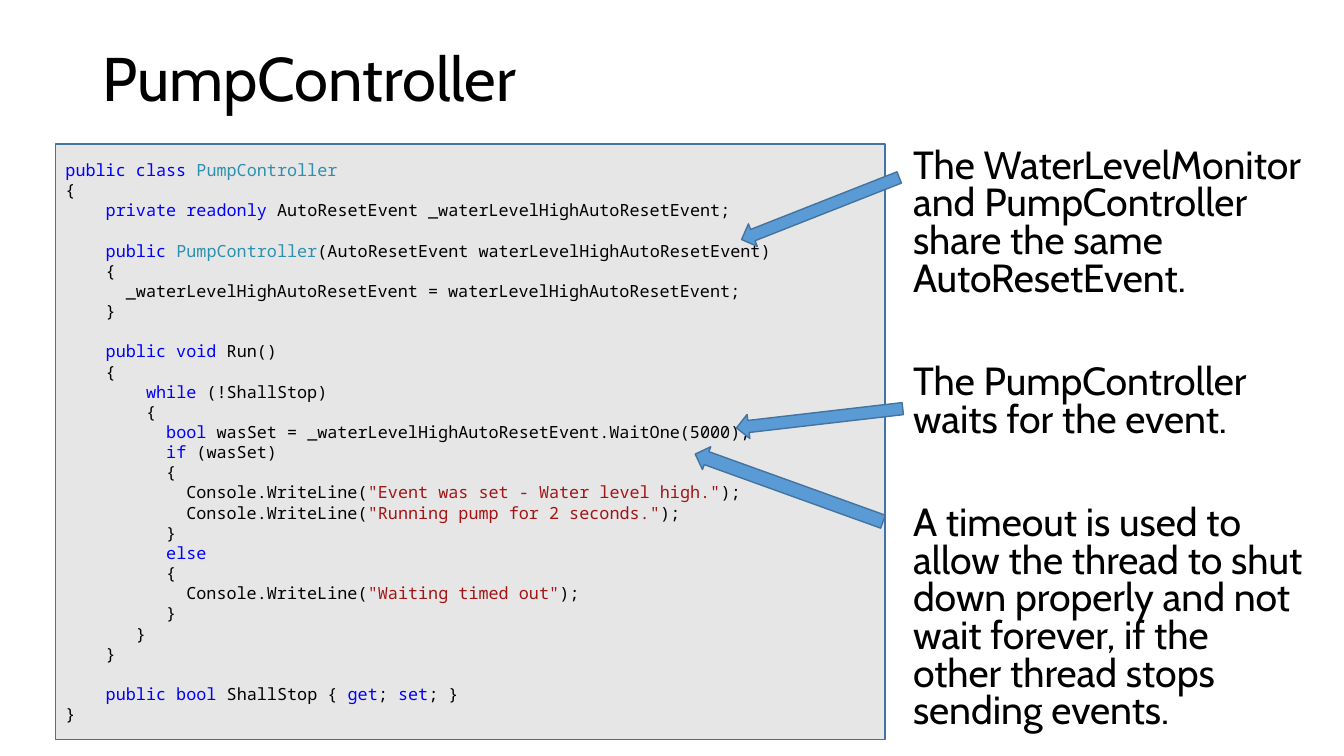
from pptx import Presentation
from pptx.dml.color import RGBColor
from pptx.enum.shapes import MSO_SHAPE
from pptx.enum.text import MSO_ANCHOR, PP_ALIGN
from pptx.util import Cm, Pt

RECTANGLE, DOWN_ARROW = MSO_SHAPE.RECTANGLE, MSO_SHAPE.DOWN_ARROW
MIDDLE, LEFT = MSO_ANCHOR.MIDDLE, PP_ALIGN.LEFT

TEXT_FONT, CODE_FONT = "Cabin", "Noto Sans Mono"
BLACK, GREY, BLUE, OUTLINE = "000000", "E7E6E6", "5B9BD5", "43739E"
KEYWORD, TYPE, STRING = "0000FF", "2B91AF", "A31515"

NOTES = [
    "The WaterLevelMonitor and PumpController share the same AutoResetEvent.",
    "The PumpController waits for the event.",
    "A timeout is used to allow the thread to shut down properly and not wait "
    "forever, if the other thread stops sending events.",
]

# Each code line is a list of spans: plain text, or text with its colour
CODE = [
    [("public class ", KEYWORD), ("PumpController", TYPE)],
    ["{"],
    ["    ", ("private readonly ", KEYWORD),
     "AutoResetEvent _waterLevelHighAutoResetEvent;"],
    [],
    ["    ", ("public ", KEYWORD), ("PumpController", TYPE),
     "(AutoResetEvent waterLevelHighAutoResetEvent)"],
    ["    {"],
    ["      _waterLevelHighAutoResetEvent = waterLevelHighAutoResetEvent;"],
    ["    }"],
    [],
    ["    ", ("public void", KEYWORD), " Run()"],
    ["    {"],
    ["        ", ("while", KEYWORD), " (!ShallStop)"],
    ["        {"],
    ["          ", ("bool ", KEYWORD),
     "wasSet = _waterLevelHighAutoResetEvent.WaitOne(5000);"],
    ["          ", ("if", KEYWORD), " (wasSet)"],
    ["          {"],
    ["            Console.WriteLine(",
     ('"Event was set - Water level high."', STRING), ");"],
    ["            Console.WriteLine(",
     ('"Running pump for 2 seconds."', STRING), ");"],
    ["          }"],
    ["          ", ("else", KEYWORD)],
    ["          {"],
    ["            Console.WriteLine(", ('"Waiting timed out"', STRING), ");"],
    ["          }"],
    ["       }"],
    ["    }"],
    [],
    ["    ", ("public bool ", KEYWORD), "ShallStop { ", ("get", KEYWORD), "; ",
     ("set", KEYWORD), "; }"],
    ["}"],
]

# Left, top, width, height in cm, then rotation and shaft width
ARROWS = [
    (19.58, 9.78, 0.61, 5.03, 109.8, 0.57),
    (20.35, 8.43, 0.61, 4.22, 83.4, 0.5),
    (20.37, 3.12, 0.61, 4.27, 68.5, 0.5),
]


def colour(value):
    return RGBColor.from_string(value)


def style(span, font, size, value):
    span.font.name = font
    span.font.size = Pt(size)
    span.font.color.rgb = colour(value)


def add_text(page, place, texts, size, line_spacing, gap=0):
    box = page.shapes.add_textbox(*map(Cm, place))
    frame = box.text_frame
    frame.word_wrap = True
    frame.text = "\n".join(texts)
    for index, para in enumerate(frame.paragraphs):
        para.line_spacing = line_spacing
        para.space_before = Pt(gap if index else 0)
        for span in para.runs:
            style(span, TEXT_FONT, size, BLACK)
    return box


def add_shape(page, kind, place, fill):
    shape = page.shapes.add_shape(kind, *map(Cm, place))
    shape.shadow.inherit = False
    shape.fill.solid()
    shape.fill.fore_color.rgb = colour(fill)
    shape.line.color.rgb = colour(OUTLINE)
    shape.line.width = Pt(1)
    return shape


def add_code(page, place, lines):
    box = add_shape(page, RECTANGLE, place, GREY)
    frame = box.text_frame
    frame.word_wrap = True
    frame.vertical_anchor = MIDDLE
    for index, line in enumerate(lines):
        para = frame.add_paragraph() if index else frame.paragraphs[0]
        para.alignment = LEFT
        para.line_spacing = Pt(14.4)
        for part in line:
            text, value = (part, BLACK) if isinstance(part, str) else part
            span = para.add_run()
            span.text = text
            style(span, CODE_FONT, 12, value)


def add_arrow(page, place, rotation, shaft):
    arrow = add_shape(page, DOWN_ARROW, place, BLUE)
    arrow.rotation = rotation
    arrow.adjustments[0] = shaft


def main():
    deck = Presentation()
    deck.slide_width, deck.slide_height = Cm(33.87), Cm(19.05)
    page = deck.slides.add_slide(deck.slide_layouts[6])

    # Title and notes
    title = add_text(page, (2.34, 1.02, 29.21, 2.06), ["PumpController"], 44, 0.9)
    title.text_frame.vertical_anchor = MIDDLE
    add_text(page, (22.76, 3.63, 10.36, 15.01), NOTES, 28, 0.8, gap=47)

    # Code listing, with arrows from the notes
    add_code(page, (1.4, 3.63, 20.9, 15.01), CODE)
    for *place, rotation, shaft in ARROWS:
        add_arrow(page, place, rotation, shaft)

    deck.save("out.pptx")


if __name__ == "__main__":
    main()
